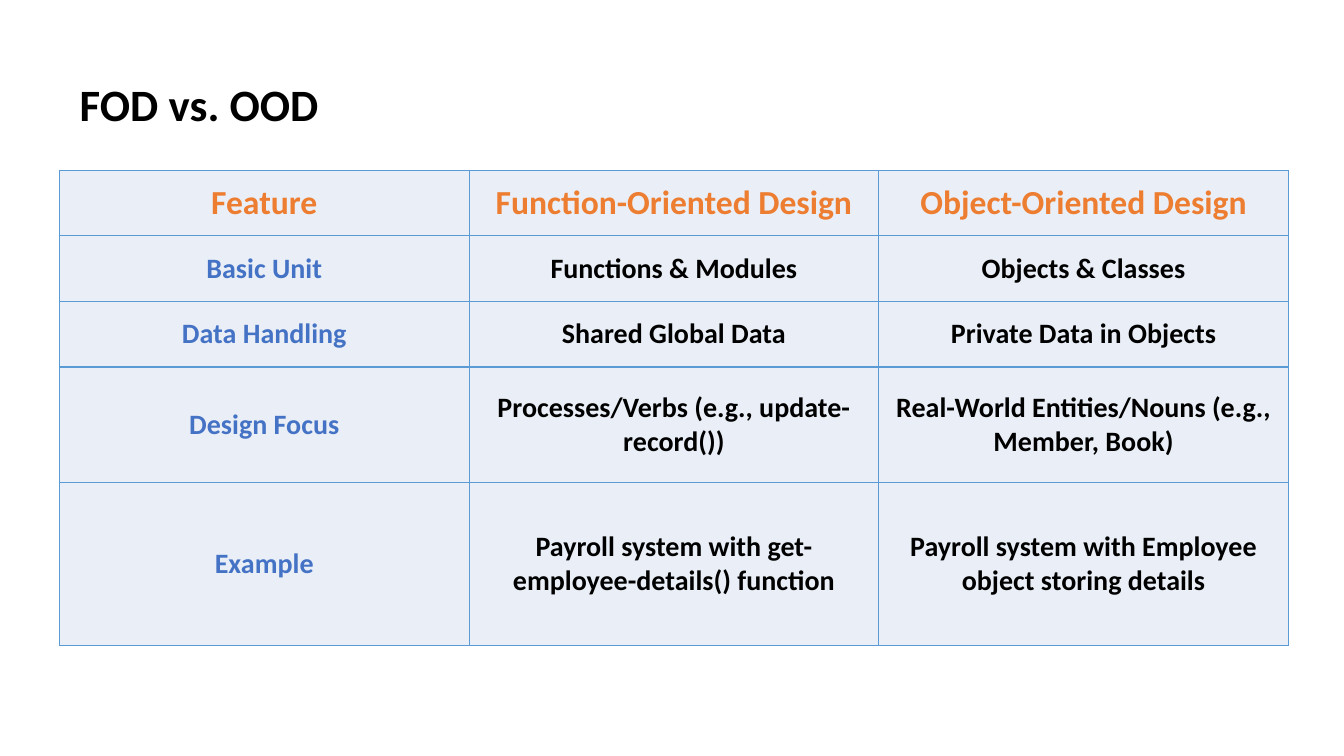
from dataclasses import dataclass

from lxml.etree import SubElement
from pptx import Presentation
from pptx.dml.color import RGBColor
from pptx.enum.text import MSO_ANCHOR as Anchor, MSO_AUTO_SIZE as AutoSize, PP_ALIGN as Align
from pptx.oxml.ns import qn
from pptx.text.text import TextFrame
from pptx.util import Pt

BLACK = RGBColor(0x00, 0x00, 0x00)
ORANGE = RGBColor(0xED, 0x7D, 0x31)
BLUE = RGBColor(0x44, 0x72, 0xC4)
BORDER = RGBColor(0x5B, 0x9B, 0xD5)
CELL_FILL = RGBColor(0xEA, 0xEF, 0xF7)

FONT = "Calibri"
COLUMN_WIDTH = 292.6
TITLE_ONLY = 5


@dataclass(frozen=True)
class TextStyle:
    size: float
    color: RGBColor


@dataclass(frozen=True)
class FeatureRow:
    height: float
    feature: str
    function_oriented: str
    object_oriented: str

    def texts(self) -> tuple[str, str, str]:
        return self.feature, self.function_oriented, self.object_oriented


TITLE = TextStyle(32, BLACK)
HEADER = TextStyle(24, ORANGE)
FEATURE = TextStyle(20, BLUE)
BODY = TextStyle(20, BLACK)

ROWS = [
    FeatureRow(46.8, "Feature", "Function-Oriented Design", "Object-Oriented Design"),
    FeatureRow(46.8, "Basic Unit", "Functions & Modules", "Objects & Classes"),
    FeatureRow(46.8, "Data Handling", "Shared Global Data", "Private Data in Objects"),
    FeatureRow(82.4, "Design Focus", "Processes/Verbs (e.g., update-record())",
               "Real-World Entities/Nouns (e.g., Member, Book)"),
    FeatureRow(116.6, "Example", "Payroll system with get-employee-details() function",
               "Payroll system with Employee object storing details"),
]


def write_text(frame: TextFrame, text: str, style: TextStyle) -> None:
    paragraph = frame.paragraphs[0]
    paragraph.alignment = Align.CENTER
    run = paragraph.add_run()
    run.text = text
    run.font.name = FONT
    run.font.size = Pt(style.size)
    run.font.bold = True
    run.font.color.rgb = style.color


def add_borders(cell) -> None:
    properties = cell._tc.get_or_add_tcPr()
    for side in ("a:lnL", "a:lnR", "a:lnT", "a:lnB"):
        line = SubElement(properties, qn(side), w=str(Pt(1)))
        fill = SubElement(line, qn("a:solidFill"))
        SubElement(fill, qn("a:srgbClr"), val=str(BORDER))


def cell_style(row_index: int, column_index: int) -> TextStyle:
    if row_index == 0:
        return HEADER
    return FEATURE if column_index == 0 else BODY


def format_title(slide) -> None:
    title = slide.shapes.title
    title.left, title.top = Pt(49), Pt(51)
    title.width, title.height = Pt(186.5), Pt(46.4)
    frame = title.text_frame
    frame.auto_size = AutoSize.NONE
    frame.word_wrap = False
    frame.vertical_anchor = Anchor.MIDDLE
    write_text(frame, "FOD vs. OOD", TITLE)


def add_comparison(slide, rows: list[FeatureRow]) -> None:
    column_count = len(rows[0].texts())
    table = slide.shapes.add_table(
        len(rows), column_count, Pt(42.5), Pt(121.7),
        Pt(COLUMN_WIDTH * column_count), Pt(sum(row.height for row in rows)),
    ).table
    table.first_row = False
    table.horz_banding = False
    for column in table.columns:
        column.width = Pt(COLUMN_WIDTH)
    for row_index, row in enumerate(rows):
        table.rows[row_index].height = Pt(row.height)
        for column_index, text in enumerate(row.texts()):
            cell = table.cell(row_index, column_index)
            cell.vertical_anchor = Anchor.MIDDLE
            add_borders(cell)
            cell.fill.solid()
            cell.fill.fore_color.rgb = CELL_FILL
            write_text(cell.text_frame, text, cell_style(row_index, column_index))


def main() -> None:
    presentation = Presentation()
    presentation.slide_width, presentation.slide_height = Pt(960), Pt(540)
    slide = presentation.slides.add_slide(presentation.slide_layouts[TITLE_ONLY])
    format_title(slide)
    add_comparison(slide, ROWS)
    presentation.save("out.pptx")


if __name__ == "__main__":
    main()
